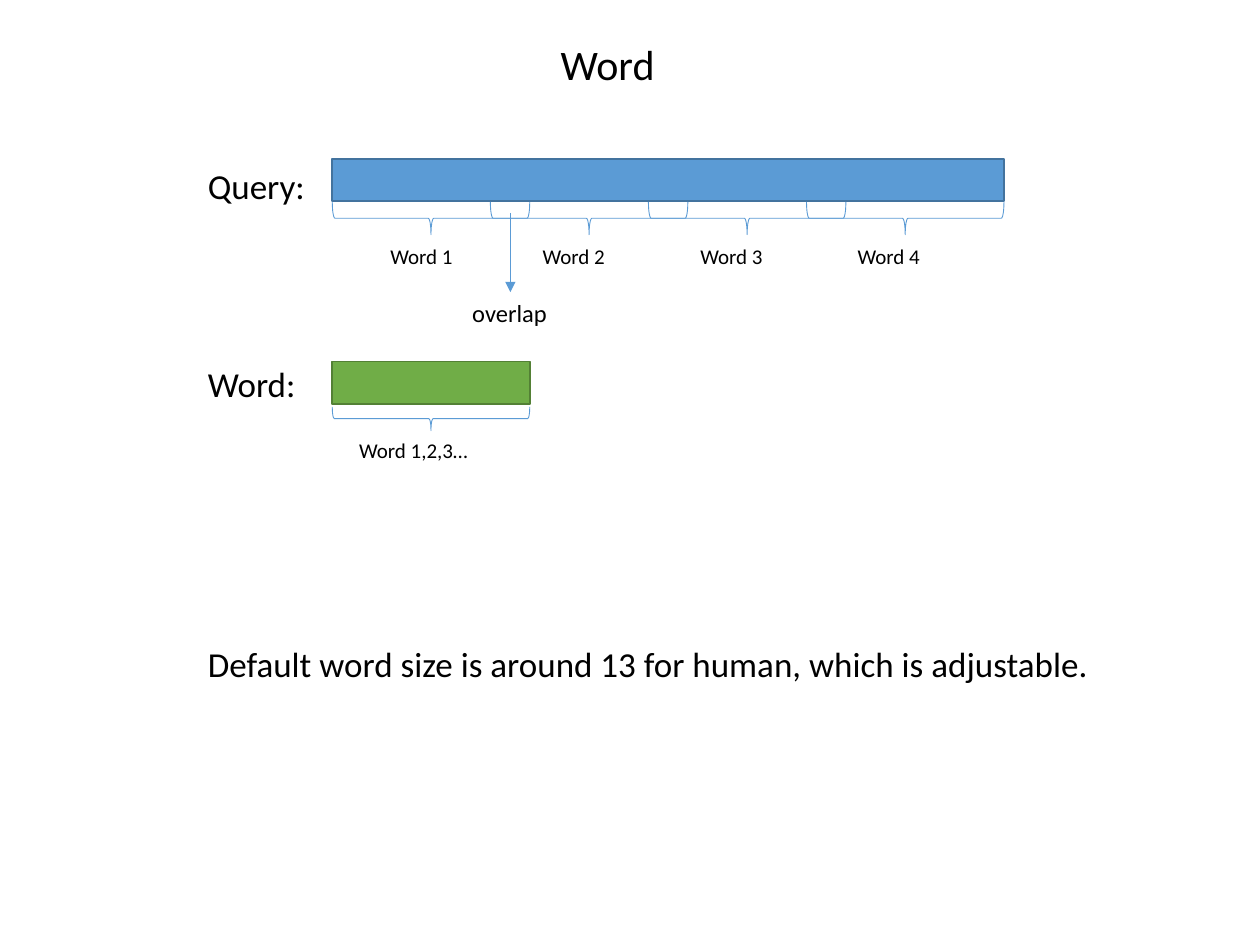
from dataclasses import dataclass

from lxml.etree import SubElement
from pptx import Presentation
from pptx.dml.color import RGBColor as RGB
from pptx.enum.shapes import MSO_CONNECTOR as CONN, MSO_SHAPE as SHAPE
from pptx.enum.text import MSO_ANCHOR, MSO_AUTO_SIZE as AUTO, PP_ALIGN
from pptx.oxml.ns import qn
from pptx.util import Cm, Pt


@dataclass(frozen=True)
class Theme:
    font: str = "Calibri"
    text: RGB = RGB(0x00, 0x00, 0x00)
    blue: RGB = RGB(0x5B, 0x9B, 0xD5)
    blue_edge: RGB = RGB(0x43, 0x73, 0x9E)
    green: RGB = RGB(0x70, 0xAD, 0x47)
    green_edge: RGB = RGB(0x53, 0x80, 0x35)
    title: int = 24
    body: int = 20
    note: int = 14
    label: int = 12
    edge: float = 1
    thin: float = 0.5


@dataclass(frozen=True)
class Bar:
    top: float
    width: float
    fill: RGB
    edge: RGB


@dataclass(frozen=True)
class Brace:
    left: float
    top: float
    height: float


@dataclass(frozen=True)
class Label:
    text: str
    left: float
    top: float
    width: float
    height: float
    size: int
    wrap: bool = False


T = Theme()
BAR_LEFT, BAR_HEIGHT = 6.7, 0.86
QUERY_WIDTH, WORD_WIDTH = 13.54, 3.98
WORD_COUNT = 4
PITCH = (QUERY_WIDTH - WORD_WIDTH) / (WORD_COUNT - 1)
TEXT_LEFT = 3.94


def place(sp, left: float, top: float, width: float, height: float) -> None:
    box = {"left": left, "top": top, "width": width, "height": height}
    for name, value in box.items():
        setattr(sp, name, Cm(value))


def write(sp, label: Label) -> None:
    place(sp, label.left, label.top, label.width, label.height)
    tf = sp.text_frame
    frame = {"word_wrap": label.wrap, "auto_size": AUTO.SHAPE_TO_FIT_TEXT,
             "vertical_anchor": MSO_ANCHOR.TOP}
    for name, value in frame.items():
        setattr(tf, name, value)
    p = tf.paragraphs[0]
    for name, value in {"alignment": PP_ALIGN.LEFT, "line_spacing": 1.0}.items():
        setattr(p, name, value)
    r = p.add_run()
    r.text = label.text
    for name, value in {"name": T.font, "size": Pt(label.size)}.items():
        setattr(r.font, name, value)
    r.font.color.rgb = T.text


def stroke(sp, color: RGB, width: float) -> None:
    sp.line.color.rgb = color
    sp.line.width = Pt(width)


def add_bar(s, bar: Bar) -> None:
    sp = s.shapes.add_shape(SHAPE.RECTANGLE, Cm(BAR_LEFT), Cm(bar.top),
                            Cm(bar.width), Cm(BAR_HEIGHT))
    sp.shadow.inherit = False
    sp.fill.solid()
    sp.fill.fore_color.rgb = bar.fill
    stroke(sp, bar.edge, T.edge)


def add_brace(s, brace: Brace) -> None:
    # The upright brace shares its centre with the turned one
    shift = (WORD_WIDTH - brace.height) / 2
    sp = s.shapes.add_shape(SHAPE.LEFT_BRACE, Cm(brace.left + shift), Cm(brace.top - shift),
                            Cm(brace.height), Cm(WORD_WIDTH))
    sp.rotation = 270
    sp.shadow.inherit = False
    sp.fill.background()
    stroke(sp, T.blue, T.thin)


def add_arrow(s, x: float, top: float, bottom: float) -> None:
    cx = s.shapes.add_connector(CONN.STRAIGHT, Cm(x), Cm(top), Cm(x), Cm(bottom))
    stroke(cx, T.blue, T.thin)
    SubElement(cx.line._get_or_add_ln(), qn("a:tailEnd"), type="triangle")
    SubElement(cx._element.spPr, qn("a:effectLst"))


prs = Presentation()
prs.slide_width, prs.slide_height = Cm(25.4), Cm(19.05)
s = prs.slides.add_slide(prs.slide_layouts[5])

# Title
write(s.shapes.title, Label("Word", 11.05, 0.64, 2.44, 1.27, T.title))

# Query and word bars
for bar in (Bar(3.2, QUERY_WIDTH, T.blue, T.blue_edge),
            Bar(7.29, WORD_WIDTH, T.green, T.green_edge)):
    add_bar(s, bar)

# Overlapping words along the query, then the single word
for i in range(WORD_COUNT):
    add_brace(s, Brace(BAR_LEFT + i * PITCH, 4.07, 0.66))
add_brace(s, Brace(BAR_LEFT, 8.2, 0.48))

# Overlap arrow
add_arrow(s, 10.29, 4.29, 5.89)

# Labels
word_labels = [Label(f"Word {i}", left, 4.78, 1.78, 0.76, T.label)
               for i, left in enumerate((7.62, 10.69, 13.87, 17.04), 1)]
for label in word_labels + [
    Label("Query:", TEXT_LEFT, 3.2, 2.49, 1.12, T.body),
    Label("Word:", TEXT_LEFT, 7.19, 2.29, 1.12, T.body),
    Label("Word 1,2,3…", 6.99, 8.69, 2.72, 0.76, T.label),
    Label("overlap", 9.27, 5.89, 2.03, 0.86, T.note),
    Label("Default word size is around 13 for human, which is adjustable.",
          TEXT_LEFT, 12.83, 19.66, 1.12, T.body, wrap=True),
]:
    write(s.shapes.add_textbox(0, 0, 0, 0), label)

prs.save("out.pptx")
